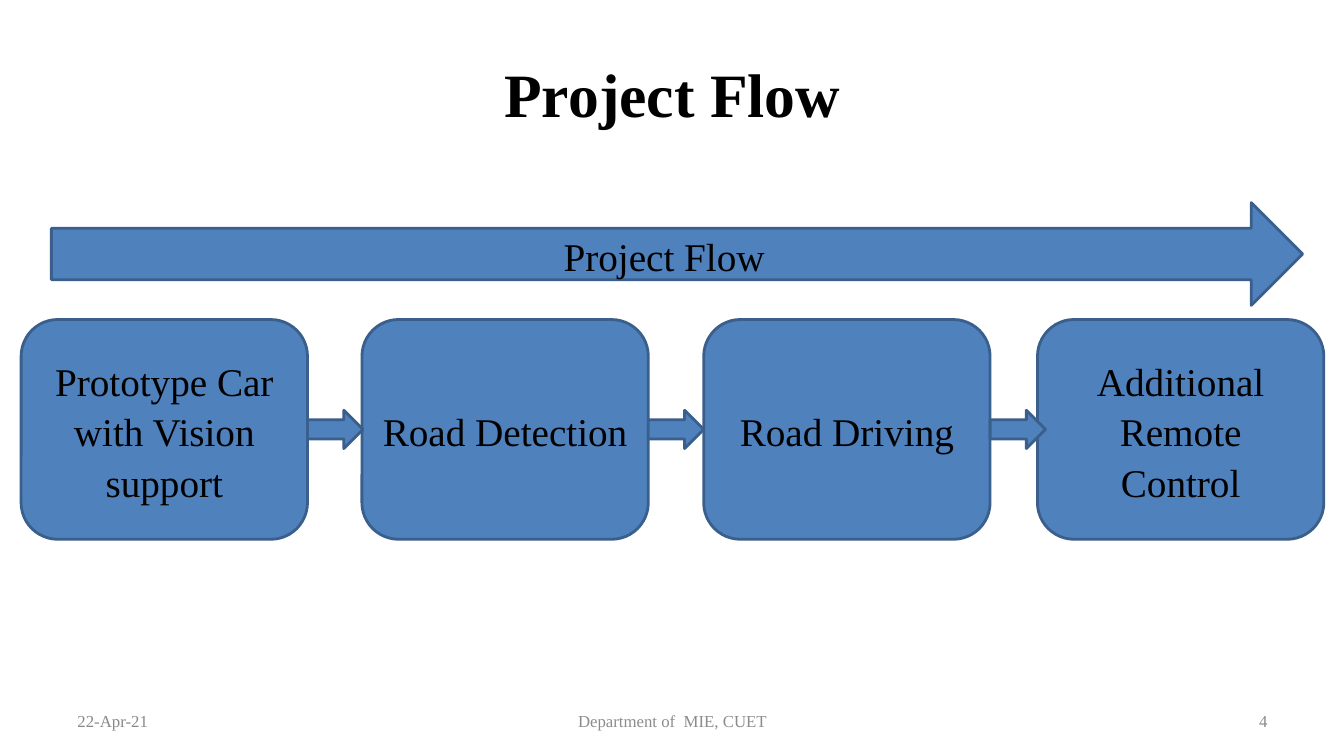
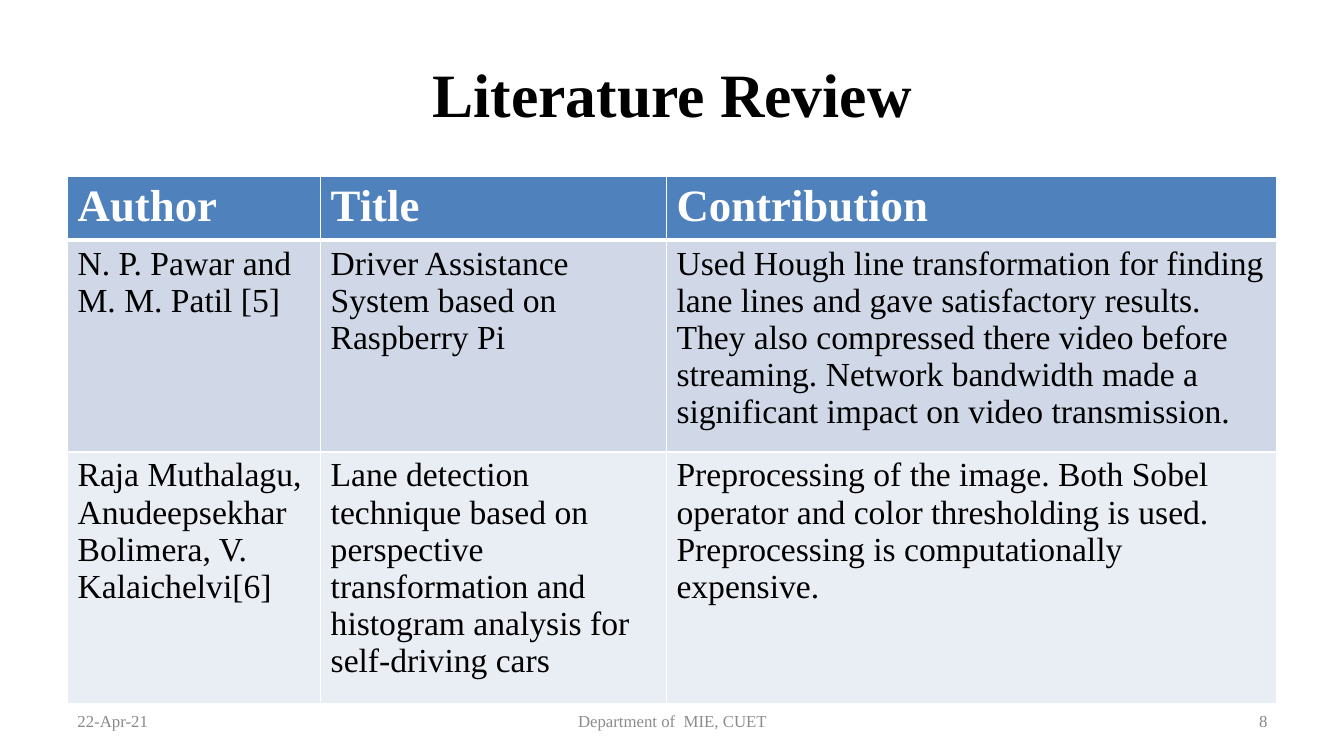
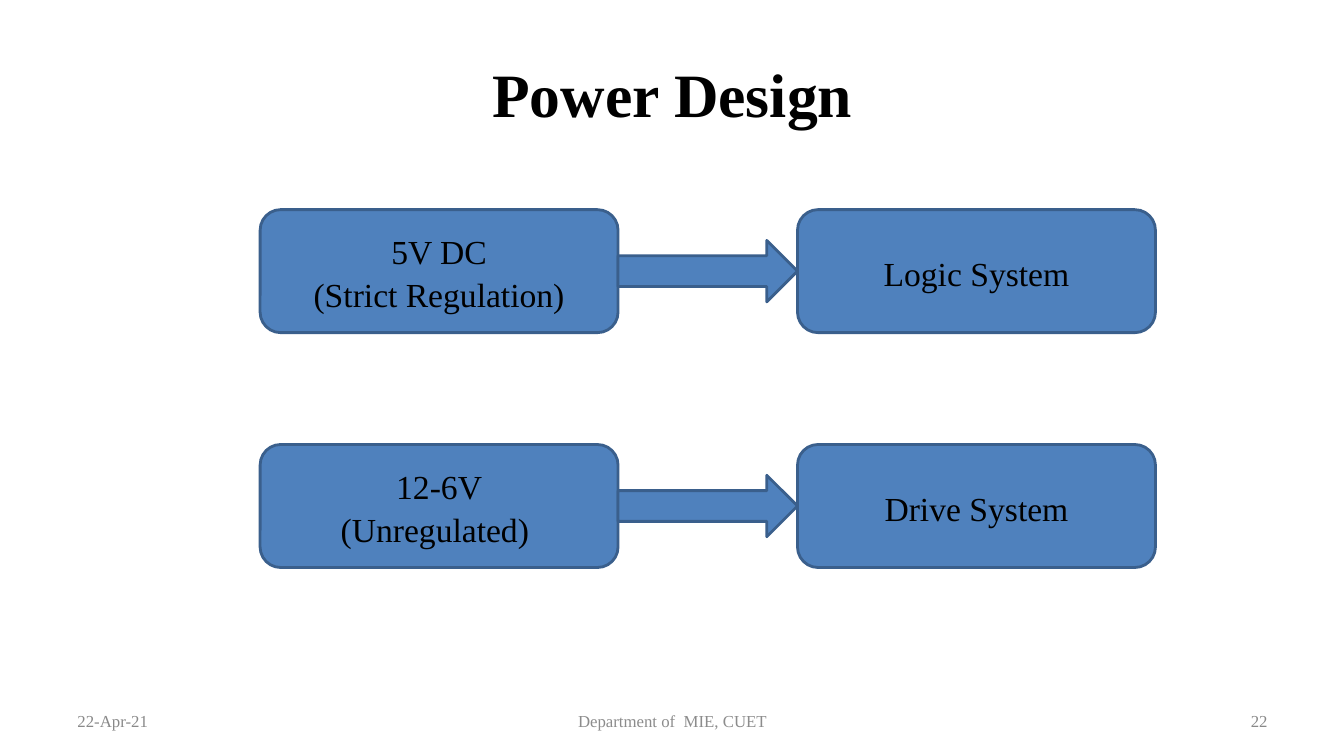
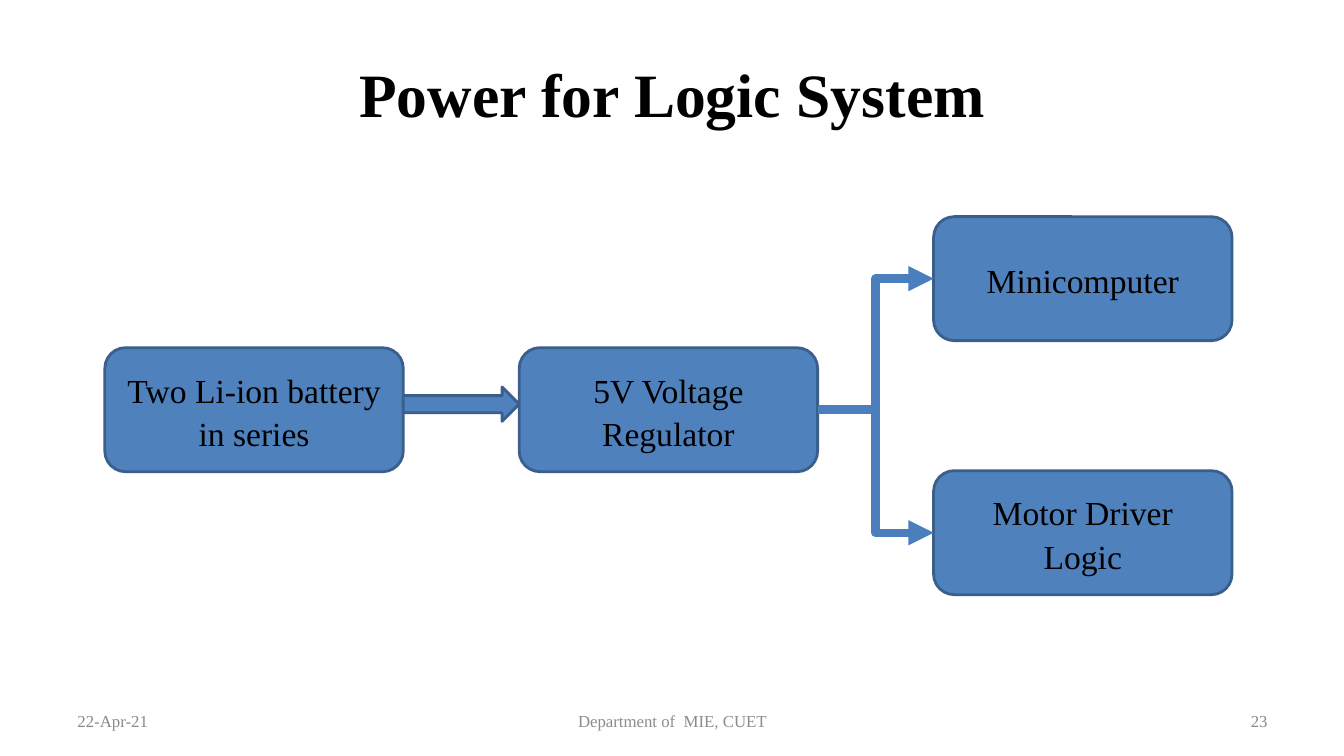
from dataclasses import dataclass

from lxml import etree
from pptx import Presentation
from pptx import util as u
from pptx.dml.color import RGBColor
from pptx.enum import shapes, text
from pptx.oxml.ns import qn


@dataclass(frozen=True)
class Theme:
    font: str = "Times New Roman"
    black: str = "000000"
    white: str = "FFFFFF"
    blue: str = "4F81BD"
    outline: str = "3A5F8C"
    connector: str = "4B7EBC"
    muted: str = "898989"
    footer: str = "8C8C8C"
    bands: tuple = ("D0D8E8", "E9EDF4")
    title_size: int = 44
    header_size: int = 32
    flow_size: int = 28
    body_size: int = 24
    footer_size: int = 12
    box_spacing: float = 1.08


T = Theme()
ALIGN = text.PP_ALIGN
SHAPE = shapes.MSO_SHAPE
BOX, ARROW = SHAPE.ROUNDED_RECTANGLE, SHAPE.RIGHT_ARROW

DATE = "22-Apr-21"
DEPARTMENT = "Department of  MIE, CUET"

FLOW_STEPS = [
    (0.21, "Prototype Car with Vision support"),
    (3.59, "Road Detection"),
    (6.98, "Road Driving"),
    (10.29, "Additional Remote Control"),
]

REVIEW_COLUMNS = [2.51, 3.43, 6.05]
REVIEW_HEIGHTS = [0.58, 1.95, 2.31]
REVIEW_ROWS = [
    ("Author", "Title", "Contribution"),
    (
        "N. P. Pawar and M. M. Patil [5]",
        "Driver Assistance System based on Raspberry Pi",
        "Used Hough line transformation for finding lane lines and gave "
        "satisfactory results. They also compressed there video before "
        "streaming. Network bandwidth made a significant impact on video "
        "transmission.",
    ),
    (
        "Raja Muthalagu, Anudeepsekhar Bolimera, V. Kalaichelvi[6]",
        "Lane detection technique based on perspective transformation and "
        "histogram analysis for self-driving cars",
        "Preprocessing of the image. Both Sobel operator and color "
        "thresholding is used. Preprocessing is computationally expensive.",
    ),
]

POWER_RAILS = [
    (2.08, ["5V DC", "(Strict Regulation)"], ["Logic System"]),
    (4.41, ["12-6V", "(Unregulated) "], ["Drive System"]),
]

BATTERY = (1.04, 3.45, "Two Li-ion battery in series")
REGULATOR = (5.15, 3.45, "5V Voltage Regulator")
LOADS = [(9.26, 2.15, "Minicomputer"), (9.26, 4.67, "Motor Driver Logic")]


def rgb(value):
    return RGBColor.from_string(value)


def inches(*values):
    return [u.Inches(v) for v in values]


def write(tf, lines, size, color=T.black, bold=False, align=ALIGN.LEFT, spacing=None):
    tf.word_wrap = True
    for i, line in enumerate(lines):
        p = tf.paragraphs[0] if i == 0 else tf.add_paragraph()
        p.alignment = align
        if spacing:
            p.line_spacing = spacing
        r = p.add_run()
        r.text = line
        r.font.name = T.font
        r.font.size = u.Pt(size)
        r.font.bold = bold
        r.font.color.rgb = rgb(color)


def add_label(s, at, line, size, color, align, bold=False):
    tf = s.shapes.add_textbox(*inches(*at)).text_frame
    tf.vertical_anchor = text.MSO_ANCHOR.MIDDLE
    write(tf, [line], size, color, bold, align)


def add_block(s, kind, at, lines=(), size=T.body_size):
    sp = s.shapes.add_shape(kind, *inches(*at))
    sp.shadow.inherit = False
    sp.fill.solid()
    sp.fill.fore_color.rgb = rgb(T.blue)
    sp.line.color.rgb = rgb(T.outline)
    sp.line.width = u.Pt(2)
    sp.text_frame.vertical_anchor = text.MSO_ANCHOR.MIDDLE
    write(sp.text_frame, lines, size, align=ALIGN.CENTER, spacing=T.box_spacing)
    return sp


def add_elbow(s, start, end):
    cx = s.shapes.add_connector(
        shapes.MSO_CONNECTOR.ELBOW,
        start.left + start.width, start.top + start.height // 2,
        end.left, end.top + end.height // 2,
    )
    cx.begin_connect(start, 3)
    cx.end_connect(end, 1)
    cx.line.color.rgb = rgb(T.connector)
    cx.line.width = u.Pt(6)
    etree.SubElement(cx.line._get_or_add_ln(), qn("a:tailEnd"), type="triangle")
    etree.SubElement(cx._element.spPr, qn("a:effectLst"))


def set_borders(cell, top, bottom):
    tcPr = cell._tc.get_or_add_tcPr()
    sides = [("lnL", 1), ("lnR", 1), ("lnT", top), ("lnB", bottom)]
    for i, (side, width) in enumerate(sides):
        ln = etree.Element(qn(f"a:{side}"), w=str(u.Pt(width)))
        fill = etree.SubElement(ln, qn("a:solidFill"))
        etree.SubElement(fill, qn("a:srgbClr"), val=T.white)
        tcPr.insert(i, ln)


def new_slide(prs, title, number):
    s = prs.slides.add_slide(prs.slide_layouts[6])
    add_label(s, (0.67, 0.3, 12, 1.25), title, T.title_size, T.black, ALIGN.CENTER, True)
    footers = [
        (0.67, 3.11, DATE, T.muted, ALIGN.LEFT),
        (4.56, 4.22, DEPARTMENT, T.footer, ALIGN.CENTER),
        (9.56, 3.11, str(number), T.muted, ALIGN.RIGHT),
    ]
    for x, w, line, color, align in footers:
        add_label(s, (x, 6.95, w, 0.4), line, T.footer_size, color, align)
    return s


def project_flow(prs):
    s = new_slide(prs, "Project Flow", 4)
    w, h, y = 2.84, 2.18, 3.17
    arrow_h = 0.38
    for x, label in FLOW_STEPS:
        add_block(s, BOX, (x, y, w, h), [label], T.flow_size)
    for x, _ in FLOW_STEPS[:-1]:
        add_block(s, ARROW, (x + w, y + (h - arrow_h) / 2, 0.55, arrow_h))
    add_block(s, ARROW, (0.51, 2.01, 12.41, 1.02), ["Project Flow"], T.flow_size)


def literature_review(prs):
    s = new_slide(prs, "Literature Review", 8)
    at = (0.67, 1.75, sum(REVIEW_COLUMNS), sum(REVIEW_HEIGHTS))
    table = s.shapes.add_table(len(REVIEW_ROWS), len(REVIEW_COLUMNS), *inches(*at)).table
    for col, width in zip(table.columns, REVIEW_COLUMNS):
        col.width = u.Inches(width)
    for i, (row, height) in enumerate(zip(REVIEW_ROWS, REVIEW_HEIGHTS)):
        table.rows[i].height = u.Inches(height)
        header = i == 0
        size, color = (T.header_size, T.white) if header else (T.body_size, T.black)
        for j, line in enumerate(row):
            cell = table.cell(i, j)
            cell.fill.solid()
            cell.fill.fore_color.rgb = rgb(T.blue if header else T.bands[i - 1])
            set_borders(cell, 3 if i == 1 else 1, 3 if header else 1)
            write(cell.text_frame, [line], size, color, header)


def power_design(prs):
    s = new_slide(prs, "Power Design", 22)
    w, h, source_x, system_x = 3.55, 1.22, 2.58, 7.91
    arrow_x = source_x + w
    for y, source, system in POWER_RAILS:
        add_block(s, BOX, (source_x, y, w, h), source)
        add_block(s, BOX, (system_x, y, w, h), system)
        add_block(s, ARROW, (arrow_x, y + h / 4, system_x - arrow_x, h / 2))


def logic_power(prs):
    s = new_slide(prs, "Power for Logic System", 23)
    w, h = 2.96, 1.23
    battery, regulator, *loads = [
        add_block(s, BOX, (x, y, w, h), [label])
        for x, y, label in [BATTERY, REGULATOR, *LOADS]
    ]
    arrow_x = BATTERY[0] + w
    add_block(s, ARROW, (arrow_x, 3.84, REGULATOR[0] - arrow_x, 0.34))
    for load in loads:
        add_elbow(s, regulator, load)


def main():
    prs = Presentation()
    prs.slide_width, prs.slide_height = inches(13.33, 7.5)
    for build in (project_flow, literature_review, power_design, logic_power):
        build(prs)
    prs.save("out.pptx")


if __name__ == "__main__":
    main()
